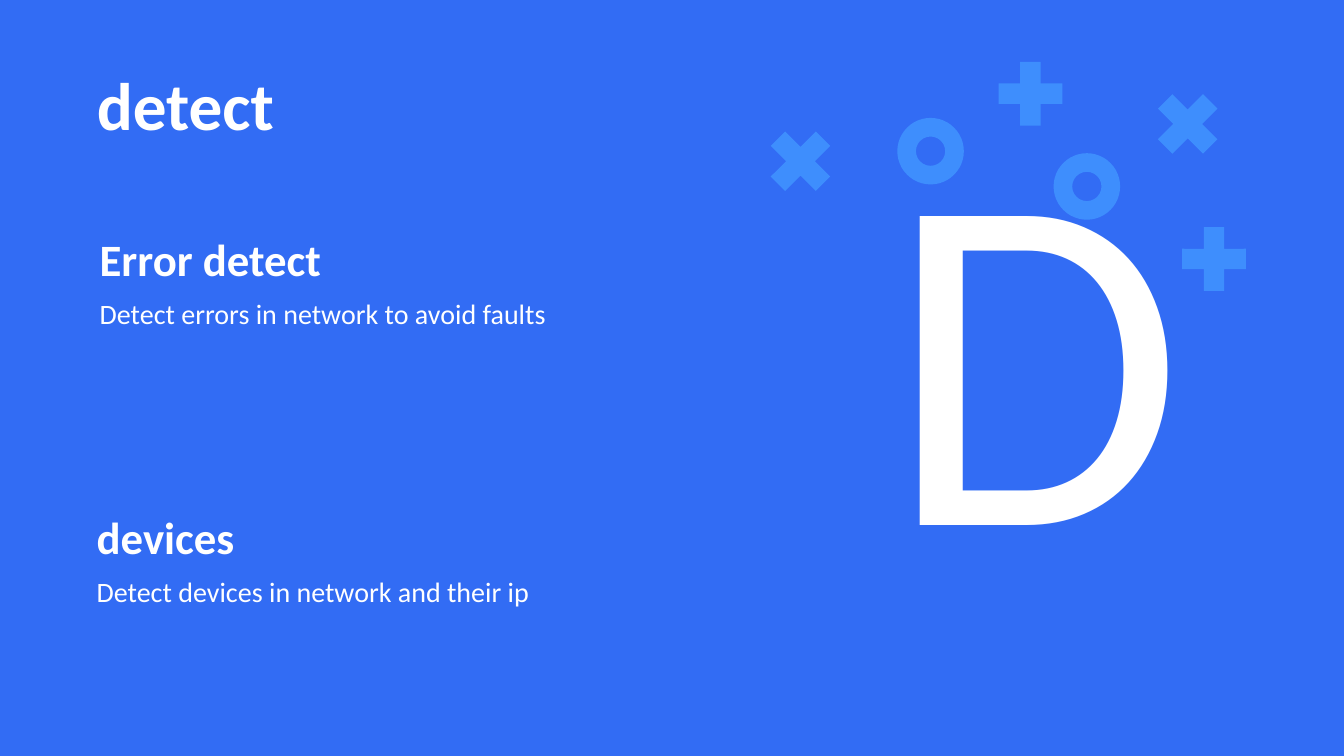
from pptx import Presentation
from pptx.dml.color import RGBColor
from pptx.enum.shapes import MSO_SHAPE
from pptx.enum.text import MSO_ANCHOR, MSO_AUTO_SIZE, PP_ALIGN
from pptx.util import Pt

PX = 9144  # EMU per px, 100 px to the inch
BLUE = RGBColor(0x32, 0x6C, 0xF4)
LIGHT_BLUE = RGBColor(0x3E, 0x8E, 0xFD)
WHITE = RGBColor(0xFF, 0xFF, 0xFF)
CROSS, RING = MSO_SHAPE.MATH_MULTIPLY, MSO_SHAPE.DONUT
TOP, LEFT, NO_FIT = MSO_ANCHOR.TOP, PP_ALIGN.LEFT, MSO_AUTO_SIZE.NONE
FONT = {"name": "Calibri"}


def px(*lengths):
    return [n * PX for n in lengths]


def set_text(sp, text, size, bold=False):
    tf = sp.text_frame
    tf.text = text
    frame_format = {"word_wrap": True, "auto_size": NO_FIT, "vertical_anchor": TOP}
    for name, value in frame_format.items():
        setattr(tf, name, value)
    p = tf.paragraphs[0]
    p.alignment = LEFT
    font = p.runs[0].font
    for name, value in {**FONT, "size": Pt(size), "bold": bold}.items():
        setattr(font, name, value)
    font.color.rgb = WHITE


def add_text(slide, x, y, w, h, text, size, bold=False):
    sp = slide.shapes.add_textbox(*px(x, y, w, h))
    set_text(sp, text, size, bold)


def add_title(slide, x, y, w, h, text):
    sp = slide.shapes.title
    sp.left, sp.top, sp.width, sp.height = px(x, y, w, h)
    set_text(sp, text, 48, True)


def add_topic(slide, x, y, heading, detail):
    heading_h = 64
    add_text(slide, x, y, 426, heading_h, heading, 32, True)
    add_text(slide, x, y + heading_h, 479, 44, detail, 20)


def add_symbols(slide, x, y):
    # Kind, offset from the region's corner, size, rotation
    symbols = [
        (CROSS, 0, 67, 86, 0),
        (CROSS, 228, 0, 86, 45),
        (CROSS, 410, 164, 86, 45),
        (RING, 139, 67, 66, 0),
        (RING, 294, 102, 66, 0),
        (CROSS, 384, 30, 86, 0),
    ]
    for kind, dx, dy, size, rotation in symbols:
        sp = slide.shapes.add_shape(kind, *px(x + dx, y + dy, size, size))
        sp.shadow.inherit = False
        sp.rotation = rotation
        sp.fill.solid()
        sp.fill.fore_color.rgb = LIGHT_BLUE
        sp.line.fill.background()
        if kind == RING:
            sp.adjustments[0] = 0.28


def build_slide(prs):
    slide = prs.slides.add_slide(prs.slide_layouts.get_by_name("Title Only"))
    slide.background.fill.solid()
    slide.background.fill.fore_color.rgb = BLUE
    # Scattered symbols behind the letter
    add_symbols(slide, 751, 50)
    # Title and topics
    add_title(slide, 86, 58, 456, 91, "detect")
    add_topic(slide, 89, 225, "Error detect", "Detect errors in network to avoid faults")
    add_topic(slide, 86, 501, "devices", "Detect devices in network and their ip")
    # Large letter
    add_text(slide, 870, 39, 416, 589, "D", 344)


def main():
    prs = Presentation()
    prs.slide_width, prs.slide_height = px(1333, 750)
    build_slide(prs)
    prs.save("out.pptx")


if __name__ == "__main__":
    main()
